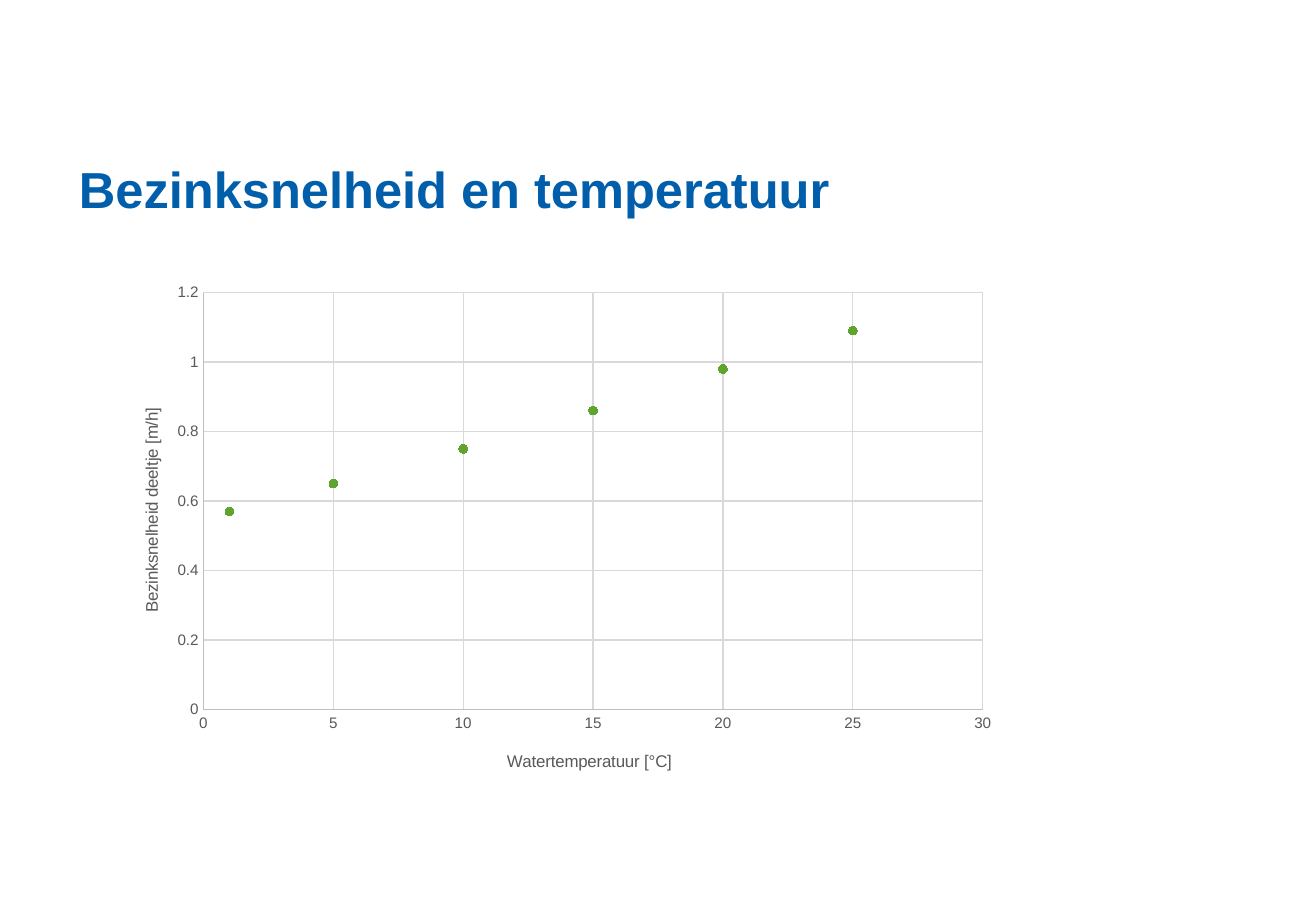
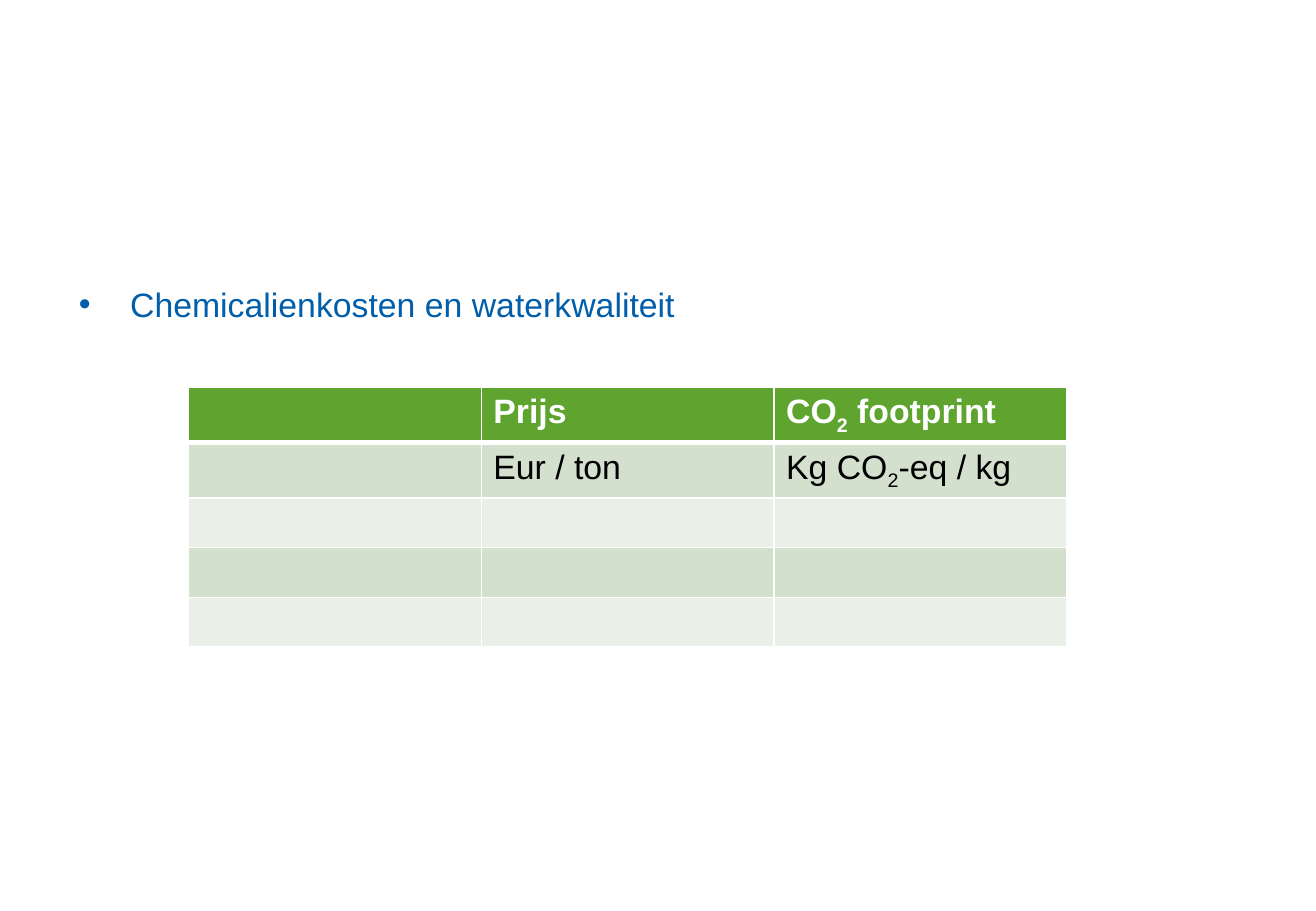
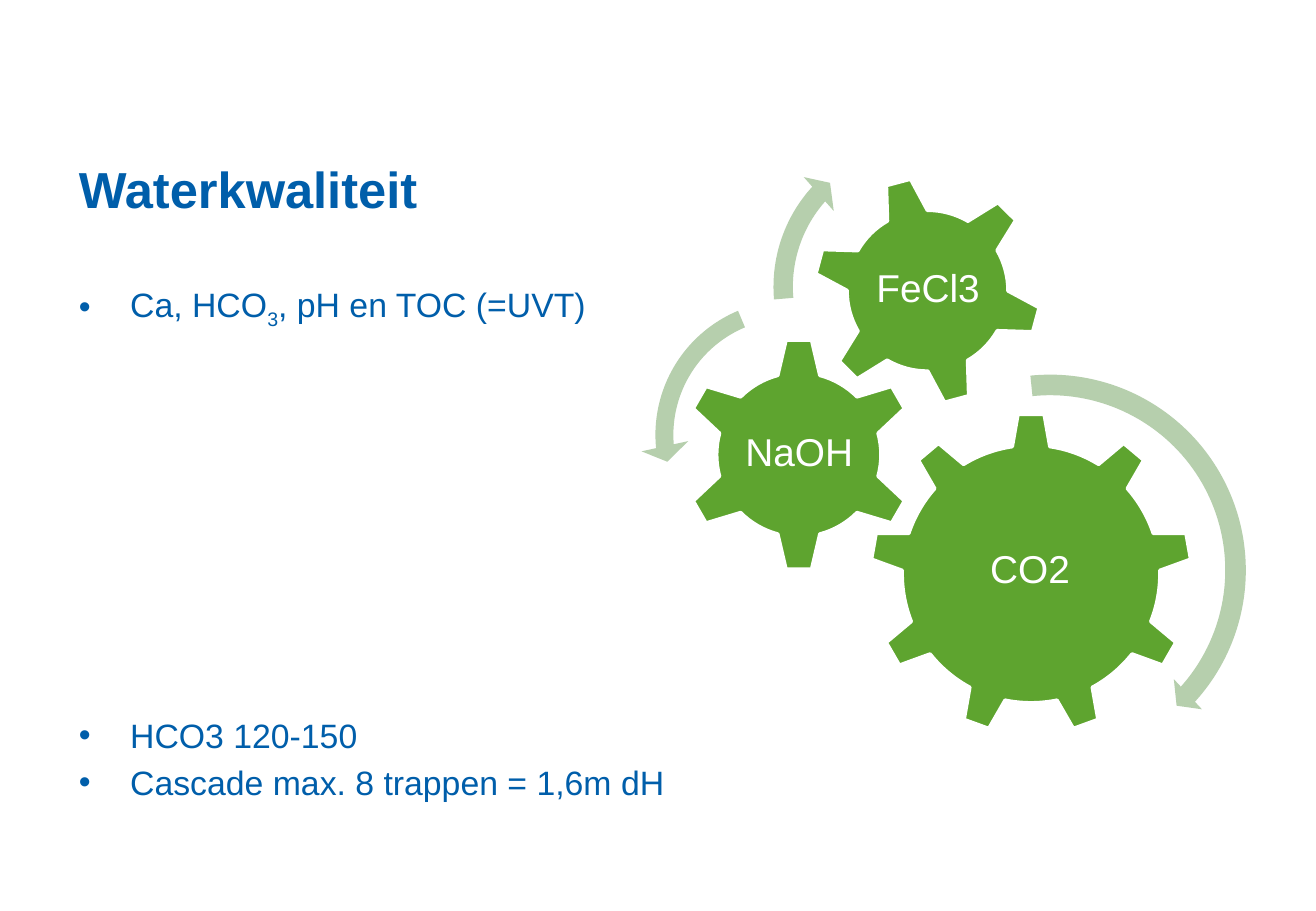
from lxml.etree import SubElement
from pptx import Presentation
from pptx.chart.data import XyChartData
from pptx.dml.color import RGBColor
from pptx.enum.chart import XL_CHART_TYPE as ChartType, XL_MARKER_STYLE as MarkerStyle, XL_TICK_MARK as TickMark
from pptx.enum.shapes import MSO_SHAPE as Preset
from pptx.enum.text import MSO_ANCHOR as Anchor, MSO_AUTO_SIZE as AutoSize, PP_ALIGN as Align
from pptx.oxml.ns import qn
from pptx.util import Cm, Pt

BLUE = RGBColor(0x00, 0x5E, 0xAA)
GREEN = RGBColor(0x5E, 0xA4, 0x2F)
PALE_GREEN = RGBColor(0xB6, 0xCF, 0xAD)
DARK_BAND = RGBColor(0xD2, 0xE0, 0xCD)
LIGHT_BAND = RGBColor(0xEA, 0xF0, 0xE8)
GREY = RGBColor(0x59, 0x59, 0x59)
AXIS_GREY = RGBColor(0xBF, 0xBF, 0xBF)
GRID_GREY = RGBColor(0xD9, 0xD9, 0xD9)
BLACK = RGBColor(0, 0, 0)
WHITE = RGBColor(0xFF, 0xFF, 0xFF)

FONT = "Arial"
TITLE_ONLY, TITLE_AND_BODY = 5, 1
TITLE_FRAME = (1.37, 1.55, 24.77, 3.18)
BODY_FRAME = (1.37, 5.79, 24.77, 10.74)
BULLET_INDENT = Cm(1.07)


class Deck:
    def __init__(self):
        self.presentation = Presentation()
        self.presentation.slide_width = Cm(27.51)
        self.presentation.slide_height = Cm(19.05)
        self.slide = None

    def add_slide(self, layout):
        self.slide = self.presentation.slides.add_slide(self.presentation.slide_layouts[layout])

    def drop_empty_placeholders(self):
        for slide in self.presentation.slides:
            for placeholder in list(slide.placeholders):
                if not placeholder.text_frame.text:
                    placeholder.element.getparent().remove(placeholder.element)

    def style(self, font, size, color, bold=False):
        font.name, font.size, font.bold = FONT, Pt(size), bold
        font.color.rgb = color

    def add_runs(self, paragraph, pieces, size, color, bold=False):
        for index, piece in enumerate(pieces):
            run = paragraph.add_run()
            run.text = piece
            self.style(run.font, size, color, bold)
            if index % 2:
                run._r.get_or_add_rPr().set("baseline", "-25000")

    def place(self, shape, frame, anchor):
        shape.left, shape.top, shape.width, shape.height = map(Cm, frame)
        text_frame = shape.text_frame
        text_frame.word_wrap = True
        text_frame.auto_size = AutoSize.NONE
        text_frame.vertical_anchor = anchor
        text_frame.margin_left = text_frame.margin_right = Cm(0.28)
        text_frame.margin_top = text_frame.margin_bottom = Cm(0.15)
        return text_frame

    def title(self, text):
        text_frame = self.place(self.slide.shapes.title, TITLE_FRAME, Anchor.BOTTOM)
        paragraph = text_frame.paragraphs[0]
        paragraph.alignment = Align.LEFT
        self.add_runs(paragraph, [text], 30, BLUE, True)

    def bullets(self, items):
        text_frame = self.place(self.slide.placeholders[1], BODY_FRAME, Anchor.TOP)
        for index, (pieces, space_before) in enumerate(items):
            paragraph = text_frame.add_paragraph() if index else text_frame.paragraphs[0]
            properties = paragraph._p.get_or_add_pPr()
            properties.set("marL", str(BULLET_INDENT))
            properties.set("indent", str(-BULLET_INDENT))
            if space_before:
                paragraph.space_before = Pt(space_before)
            self.add_runs(paragraph, pieces, 20, BLUE)

    def layout(self, parent, index, **values):
        layout = parent.find(qn("c:layout"))
        if layout is None:
            layout = parent.makeelement(qn("c:layout"))
            parent.insert(index, layout)
        manual = SubElement(layout, qn("c:manualLayout"))
        for name, value in values.items():
            SubElement(manual, qn(f"c:{name}")).set("val", str(value))

    def axis(self, axis, title, maximum, step, x, y):
        axis.minimum_scale, axis.maximum_scale, axis.major_unit = 0, maximum, step
        axis.major_tick_mark = axis.minor_tick_mark = TickMark.NONE
        axis.has_major_gridlines = True
        for line, color in ((axis.format.line, AXIS_GREY), (axis.major_gridlines.format.line, GRID_GREY)):
            line.color.rgb = color
            line.width = Pt(0.75)
        self.style(axis.tick_labels.font, 9, GREY)
        axis.tick_labels.number_format = "General"
        axis.tick_labels.number_format_is_linked = False
        self.add_runs(axis.axis_title.text_frame.paragraphs[0], [title], 10, GREY)
        self.layout(axis.axis_title._element, 1, xMode="edge", yMode="edge", x=x, y=y)

    def scatter(self, frame, points, x_title, y_title):
        data = XyChartData()
        series = data.add_series("Series 1")
        for x, y in points:
            series.add_data_point(x, y)
        chart = self.slide.shapes.add_chart(ChartType.XY_SCATTER, *map(Cm, frame), data).chart
        self.style(chart.font, 10, BLACK)
        chart.has_title = chart.has_legend = False
        plot = chart.plots[0]
        plot.vary_by_categories = False
        dots = plot.series[0]
        dots.smooth = False
        dots.format.line.fill.background()
        dots.marker.style, dots.marker.size = MarkerStyle.CIRCLE, 5
        dots.marker.format.fill.solid()
        dots.marker.format.fill.fore_color.rgb = GREEN
        dots.marker.format.line.color.rgb = GREEN
        self.axis(chart.category_axis, x_title, 30, 5, 0.45, 0.9)
        self.axis(chart.value_axis, y_title, 1.2, 0.2, 0.06, 0.26)
        self.layout(chart._chartSpace.chart.plotArea, 0, layoutTarget="inner", xMode="edge",
                    yMode="edge", x=0.13, y=0.05, w=0.83, h=0.78)

    def border(self, cell, side, width):
        line = SubElement(cell._tc.get_or_add_tcPr(), qn(f"a:ln{side}"), w=str(Pt(width)))
        SubElement(SubElement(line, qn("a:solidFill")), qn("a:srgbClr"), val=str(WHITE))

    def table(self, left, top, column_width, row_height, rows):
        column_count = len(rows[0])
        table = self.slide.shapes.add_table(
            len(rows), column_count, Cm(left), Cm(top),
            Cm(column_width * column_count), Cm(row_height * len(rows))).table
        for row_index, row in enumerate(rows):
            header = row_index == 0
            fill = GREEN if header else DARK_BAND if row_index % 2 else LIGHT_BAND
            for column_index, pieces in enumerate(row):
                cell = table.cell(row_index, column_index)
                top_width, bottom_width = 3 if row_index == 1 else 1, 3 if header else 1
                for side, width in zip("LRTB", (1, 1, top_width, bottom_width)):
                    self.border(cell, side, width)
                cell.fill.solid()
                cell.fill.fore_color.rgb = fill
                paragraph = cell.text_frame.paragraphs[0]
                paragraph.alignment = Align.LEFT
                self.add_runs(paragraph, pieces, 20, WHITE if header else BLACK, header)

    def preset(self, shapes, preset, left, top, size, fill):
        shape = shapes.add_shape(preset, Cm(left), Cm(top), Cm(size), Cm(size))
        shape.shadow.inherit = False
        shape.fill.solid()
        shape.fill.fore_color.rgb = fill
        return shape

    def gear(self, shapes, preset, corner, size, rotation, label, label_frame):
        shape = self.preset(shapes, preset, *corner, size, GREEN)
        shape.line.color.rgb = WHITE
        shape.line.width = Pt(2)
        shape.rotation = rotation
        text_box = shapes.add_textbox(0, 0, 0, 0)
        text_frame = self.place(text_box, label_frame, Anchor.MIDDLE)
        text_frame.margin_left = text_frame.margin_right = Cm(0.08)
        text_frame.margin_top = text_frame.margin_bottom = Cm(0.08)
        paragraph = text_frame.paragraphs[0]
        paragraph.alignment = Align.CENTER
        paragraph.line_spacing = 0.9
        self.add_runs(paragraph, [label], 23, WHITE)

    def turn_arrow(self, shapes, preset, corner, size, adjustments):
        shape = self.preset(shapes, preset, *corner, size, PALE_GREEN)
        shape.line.fill.background()
        for index, value in enumerate(adjustments):
            shape.adjustments[index] = value


def main():
    deck = Deck()

    deck.add_slide(TITLE_ONLY)
    deck.title("Bezinksnelheid en temperatuur")
    deck.scatter((1.7, 5.56, 19.63, 11.18),
                 [(1, 0.57), (5, 0.65), (10, 0.75), (15, 0.86), (20, 0.98), (25, 1.09)],
                 "Watertemperatuur [°C]", "Bezinksnelheid deeltje [m/h]")

    deck.add_slide(TITLE_AND_BODY)
    deck.bullets([(["Chemicalienkosten en waterkwaliteit"], None)])
    empty_row = [[], [], []]
    deck.table(3.94, 8.1, 6.12, 1.04, [
        [[], ["Prijs"], ["CO", "2", " footprint"]],
        [[], ["Eur / ton"], ["Kg CO", "2", "-eq / kg"]],
        empty_row, empty_row, empty_row])

    deck.add_slide(TITLE_AND_BODY)
    deck.title("Waterkwaliteit")
    deck.bullets([
        (["Ca, HCO", "3", ", pH en TOC (=UVT)"], None),
        (["HCO3 120-150"], 228),
        (["Cascade max. 8 trappen = 1,6m dH"], None)])
    shapes = deck.slide.shapes.add_group_shape().shapes
    for gear in (
            (Preset.GEAR_9, (18.19, 8.64), 6.73, 0, "CO2", (19.53, 10.21, 4.01, 3.45)),
            (Preset.GEAR_6, (14.25, 7.06), 4.9, 0, "NaOH", (15.49, 8.28, 2.44, 2.41)),
            (Preset.GEAR_6, (16.99, 3.68), 4.8, 345, "FeCl3", (18.06, 4.72, 2.69, 2.69))):
        deck.gear(shapes, *gear)
    for arrow in (
            (Preset.CIRCULAR_ARROW, (17.65, 7.62), 8.61, (0.05, 2.99, 25.21, 158.51, 0.05)),
            (Preset.LEFT_CIRCULAR_ARROW, (13.39, 5.97), 6.25, (0.06, 4.3, 104.89, 148.38, 0.08)),
            (Preset.CIRCULAR_ARROW, (15.9, 2.62), 6.76, (0.06, 3.94, 133.14, 105.08, 0.07))):
        deck.turn_arrow(shapes, *arrow)

    deck.drop_empty_placeholders()
    deck.presentation.save("out.pptx")


if __name__ == "__main__":
    main()
